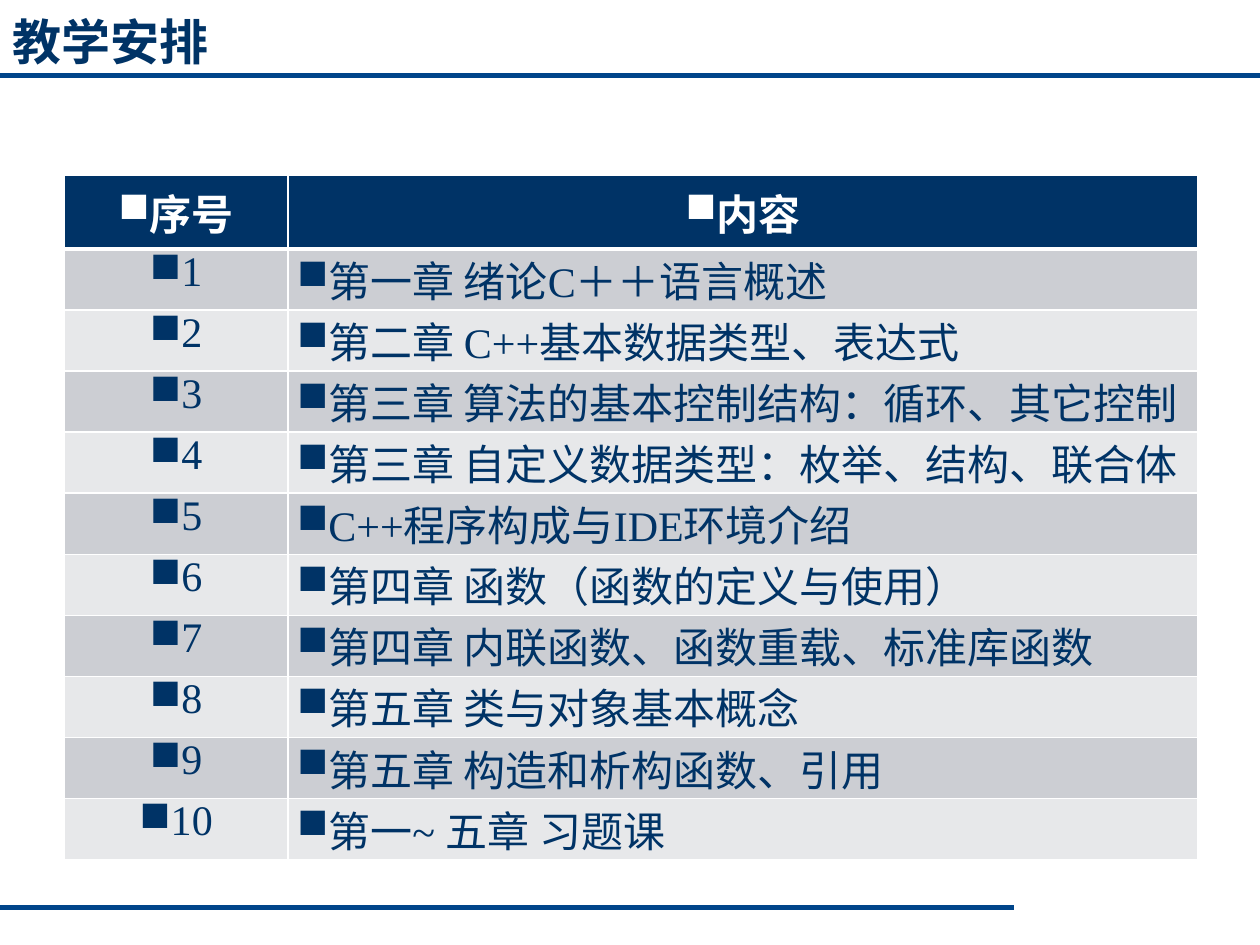
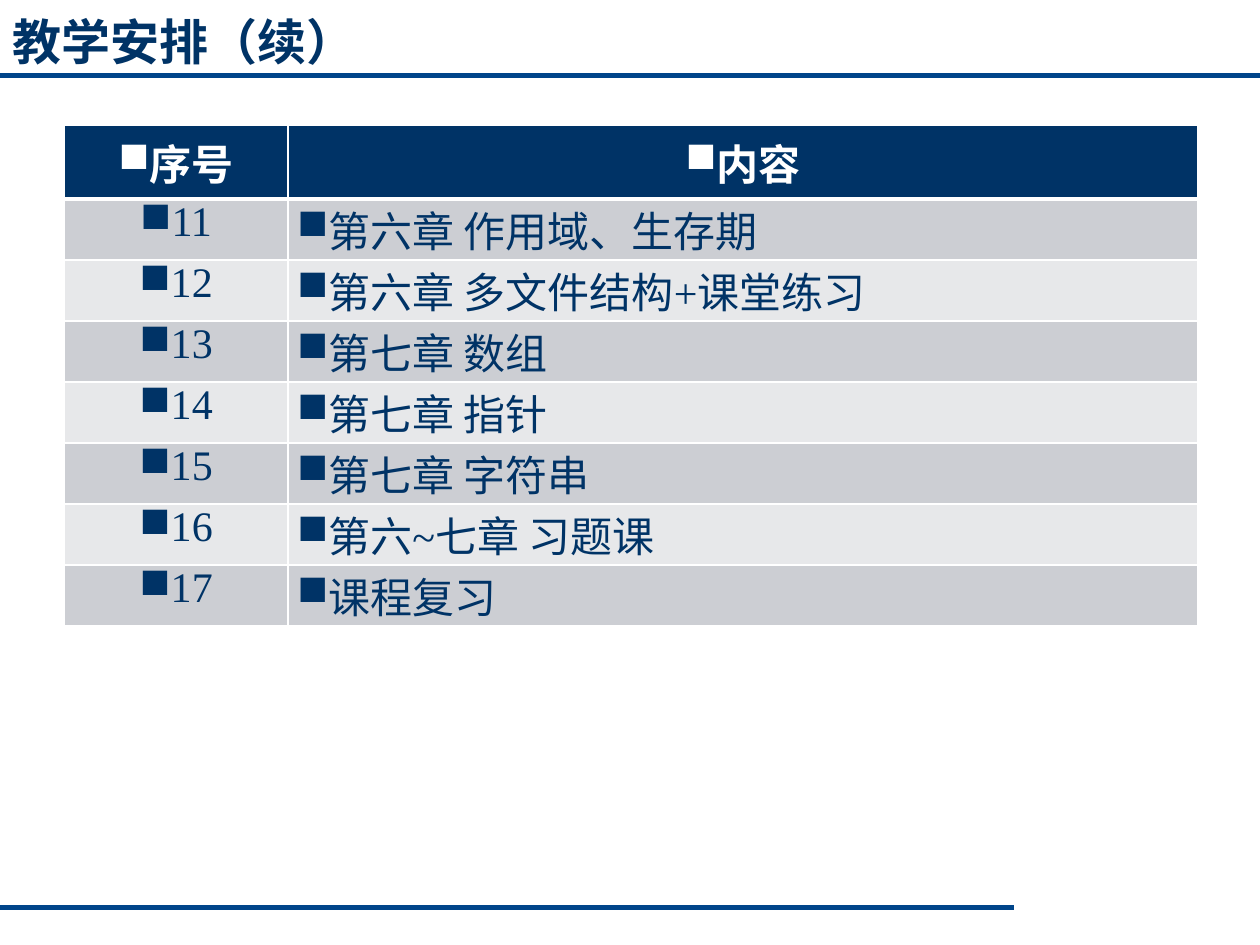
import pptx
import pptx.dml.color
import pptx.enum.lang
import pptx.enum.shapes
import pptx.enum.text
import pptx.oxml
import pptx.oxml.ns
import pptx.util
from pptx.util import Cm

NAVY = pptx.dml.color.RGBColor(0x00, 0x33, 0x66)
RULE_BLUE = pptx.dml.color.RGBColor(0x00, 0x45, 0x8A)
WHITE = pptx.dml.color.RGBColor(0xFF, 0xFF, 0xFF)
DARK_BAND = pptx.dml.color.RGBColor(0xCC, 0xCE, 0xD3)
LIGHT_BAND = pptx.dml.color.RGBColor(0xE7, 0xE8, 0xEA)

HEADING_FONT = "Courier New"
BODY_FONT = "Times New Roman"
ALIGN = pptx.enum.text.PP_ALIGN
MIDDLE = pptx.enum.text.MSO_ANCHOR.MIDDLE

SLIDE_WIDTH = Cm(25.4)
COLUMN_WIDTHS = (Cm(4.52), Cm(18.34))
HEADER_HEIGHT = Cm(1.45)
ROW_HEIGHT = Cm(1.23)
HEADERS = ("序号", "内容")

FIRST_LESSONS = (
    "第一章 绪论C＋＋语言概述",
    "第二章 C++基本数据类型、表达式",
    "第三章 算法的基本控制结构：循环、其它控制",
    "第三章 自定义数据类型：枚举、结构、联合体",
    "C++程序构成与IDE环境介绍",
    "第四章 函数（函数的定义与使用）",
    "第四章 内联函数、函数重载、标准库函数",
    "第五章 类与对象基本概念",
    "第五章 构造和析构函数、引用",
    "第一~ 五章 习题课",
)
LATER_LESSONS = (
    "第六章 作用域、生存期",
    "第六章 多文件结构+课堂练习",
    "第七章 数组",
    "第七章 指针",
    "第七章 字符串",
    "第六~七章 习题课",
    "课程复习",
)


def add_element(parent, tag, **attributes):
    element = pptx.oxml.parse_xml(f"<a:{tag} {pptx.oxml.ns.nsdecls('a')}/>")
    for name, value in attributes.items():
        element.set(name, str(value))
    parent.append(element)
    return element


def add_span(para, text, size, font, color, bold):
    span = para.add_run()
    span.text = text
    span.font.size = pptx.util.Pt(size)
    span.font.name = font
    span.font.bold = bold
    span.font.color.rgb = color
    span.font.language_id = pptx.enum.lang.MSO_LANGUAGE_ID.SIMPLIFIED_CHINESE


def add_master_rule(deck, page, top, width):
    rule = page.shapes.add_connector(
        pptx.enum.shapes.MSO_CONNECTOR.STRAIGHT, 0, top, width, top)
    rule.line.color.rgb = RULE_BLUE
    rule.line.width = pptx.util.Pt(3)
    add_element(rule.element.spPr, "effectLst")
    deck.slide_master.shapes.element.append(rule.element)


def add_page(deck, title):
    page = deck.slides.add_slide(deck.slide_layouts[5])
    box = page.shapes.title
    box.left, box.top, box.width, box.height = 0, 0, SLIDE_WIDTH, Cm(1.63)
    box.text_frame.vertical_anchor = MIDDLE
    para = box.text_frame.paragraphs[0]
    para.alignment = ALIGN.LEFT
    add_span(para, title, 28, HEADING_FONT, NAVY, True)
    return page


def set_borders(cell, top, bottom):
    properties = cell._tc.get_or_add_tcPr()
    for tag, points in (("lnL", 1), ("lnR", 1), ("lnT", top), ("lnB", bottom)):
        line = add_element(properties, tag, w=pptx.util.Pt(points))
        add_element(add_element(line, "solidFill"), "srgbClr", val=WHITE)


def fill_cell(cell, text, fill, alignment, is_header, top=1):
    set_borders(cell, top, 3 if is_header else 1)
    cell.fill.solid()
    cell.fill.fore_color.rgb = fill
    if not is_header:
        cell.margin_left = cell.margin_right = Cm(0.18)
        cell.margin_top = cell.margin_bottom = 0
    para = cell.text_frame.paragraphs[0]
    para.alignment = alignment
    properties = para._p.get_or_add_pPr()
    properties.set("marL", "0")
    properties.set("indent", "0")
    add_element(properties, "buChar", char="■")
    font, color = (HEADING_FONT, WHITE) if is_header else (BODY_FONT, NAVY)
    add_span(para, text, 24, font, color, is_header)


def add_schedule(page, top, lessons, first_number):
    height = HEADER_HEIGHT + ROW_HEIGHT * len(lessons)
    table = page.shapes.add_table(
        len(lessons) + 1, len(HEADERS), Cm(1.29), top, sum(COLUMN_WIDTHS), height).table
    for column, width in zip(table.columns, COLUMN_WIDTHS):
        column.width = width
    for row in table.rows:
        row.height = ROW_HEIGHT
    table.rows[0].height = HEADER_HEIGHT
    for column, header in enumerate(HEADERS):
        fill_cell(table.cell(0, column), header, NAVY, ALIGN.CENTER, True)
    for row, lesson in enumerate(lessons, start=1):
        band = DARK_BAND if row % 2 else LIGHT_BAND
        border = 3 if row == 1 else 1
        number = str(first_number + row - 1)
        fill_cell(table.cell(row, 0), number, band, ALIGN.CENTER, False, border)
        fill_cell(table.cell(row, 1), lesson, band, ALIGN.JUSTIFY, False, border)


def main():
    deck = pptx.Presentation()
    deck.slide_width, deck.slide_height = SLIDE_WIDTH, Cm(19.05)

    page = add_page(deck, "教学安排")
    add_master_rule(deck, page, Cm(1.52), SLIDE_WIDTH)
    add_master_rule(deck, page, Cm(18.29), Cm(20.45))
    add_schedule(page, Cm(3.54), FIRST_LESSONS, 1)

    page = add_page(deck, "教学安排（续）")
    add_schedule(page, Cm(2.53), LATER_LESSONS, len(FIRST_LESSONS) + 1)

    deck.save("out.pptx")


if __name__ == "__main__":
    main()
